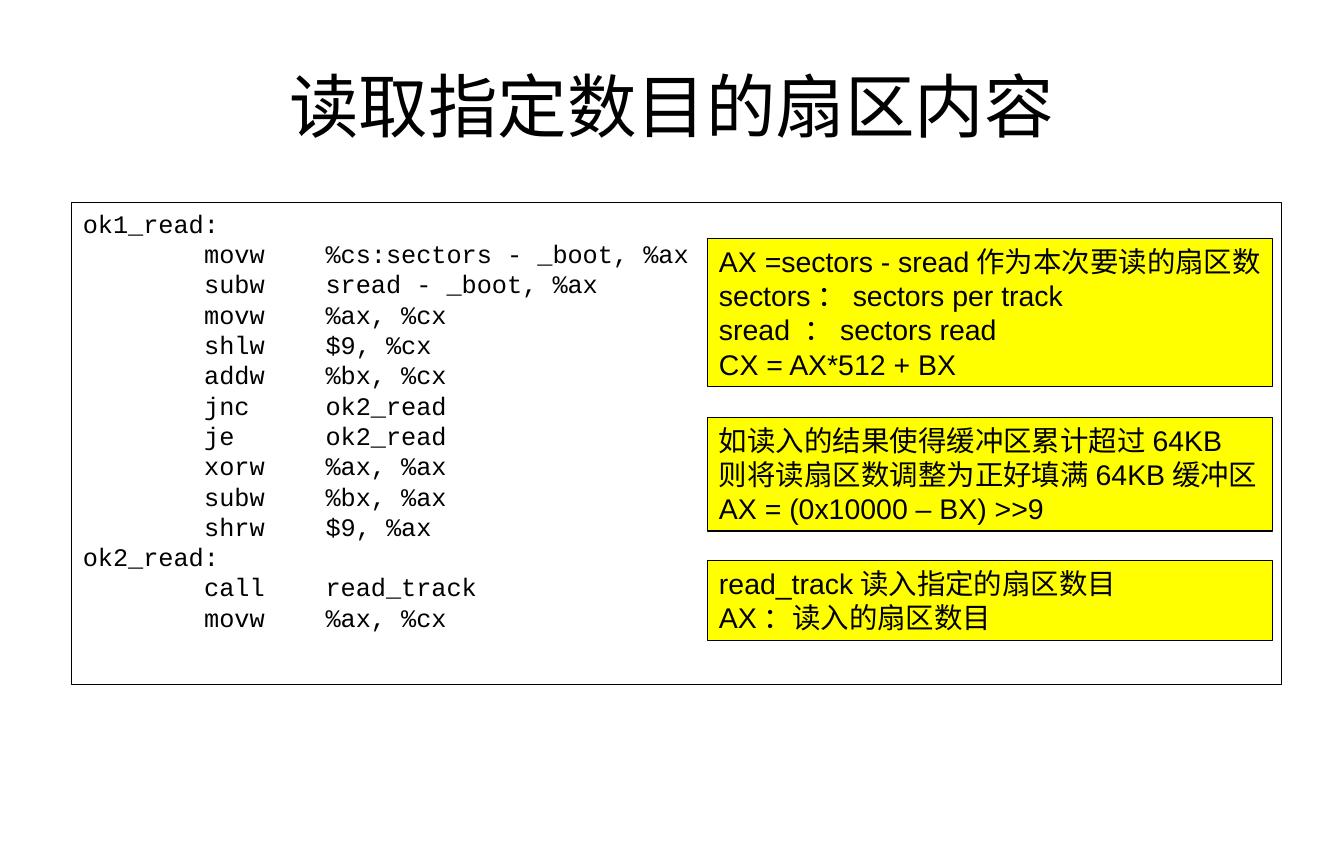
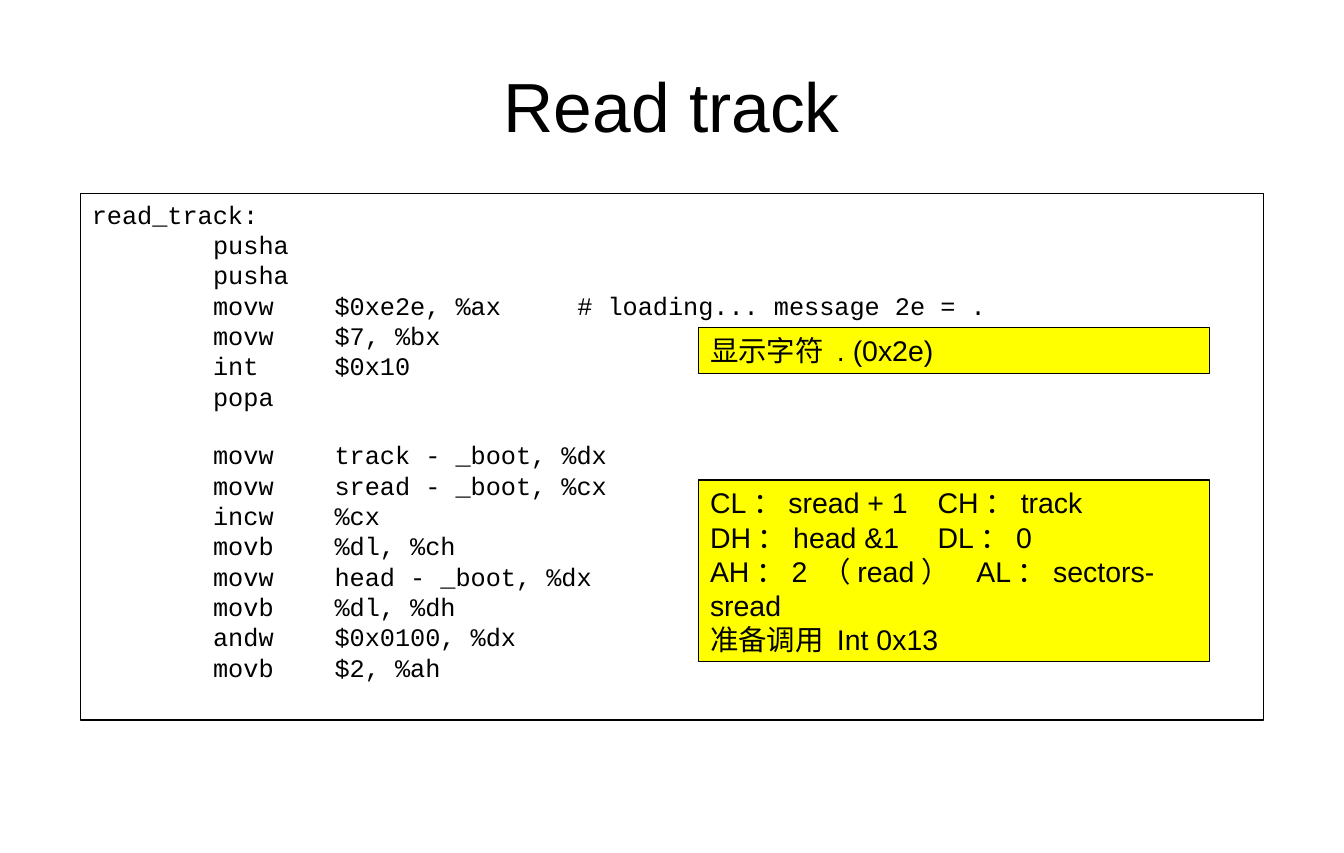
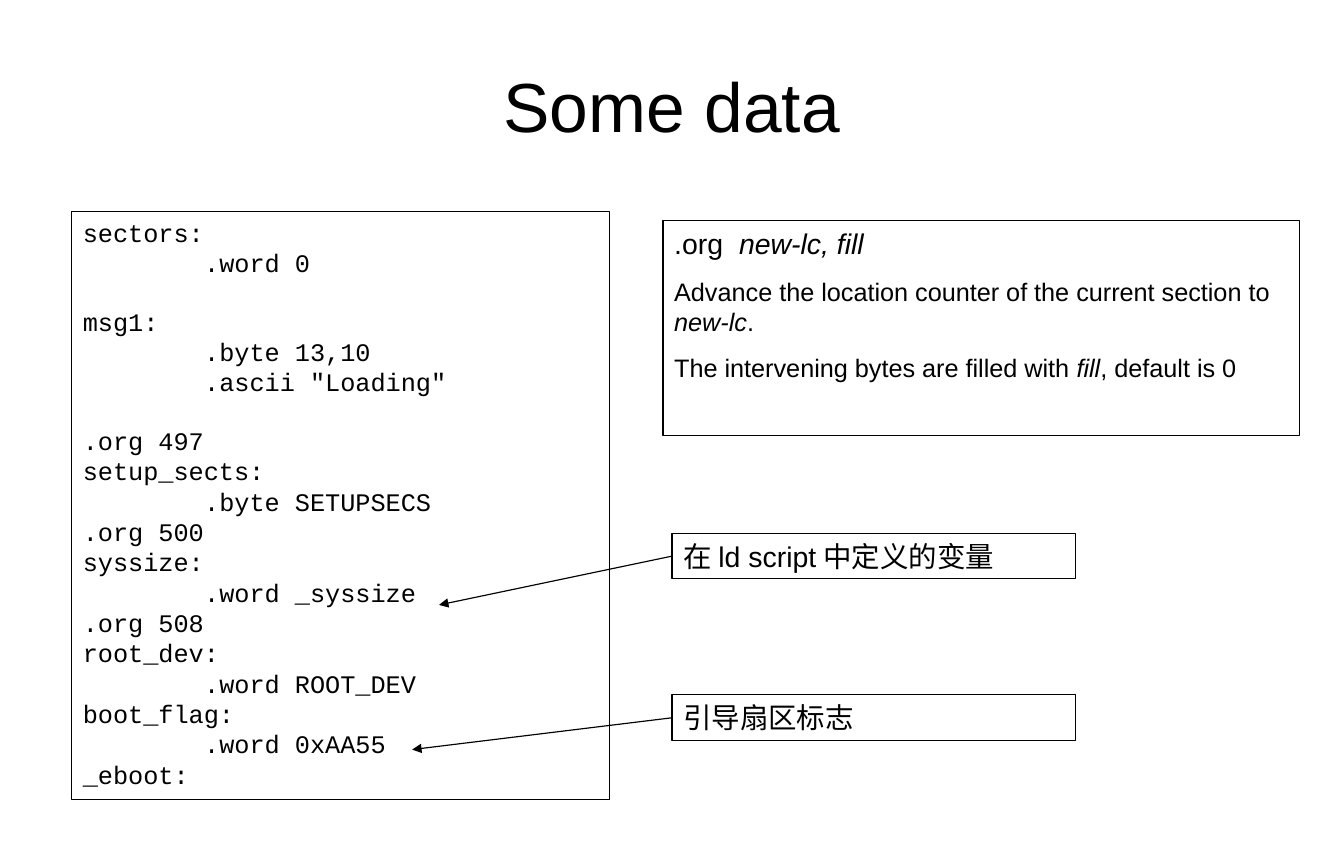
import dataclasses

import lxml.etree
import pptx
import pptx.dml.color
import pptx.enum.shapes
import pptx.enum.text
import pptx.oxml.ns
import pptx.util

BLACK = pptx.dml.color.RGBColor(0x00, 0x00, 0x00)
YELLOW = pptx.dml.color.RGBColor(0xFF, 0xFF, 0x00)
BODY_FONT = "Arial"
CODE_FONT = "Courier New"
CODE_SIZE = 16
NOTE_SIZE = 18
TITLE_SIZE = 44
LINE_WIDTH = pptx.util.Pt(0.75)
CODE_LINE = 18
CODE_TABS = [8 * 0.6 * CODE_SIZE * stop for stop in range(1, 5)]
NOTE_TABS = [144, 168.5]
CELL = pptx.util.Mm(1)
SLIDE_COLUMNS, SLIDE_ROWS = 300, 190.5
TITLE_LAYOUT = 5

READ_CODE = """ok1_read:
\tmovw\t%cs:sectors - _boot, %ax
\tsubw\tsread - _boot, %ax
\tmovw\t%ax, %cx
\tshlw\t$9, %cx
\taddw\t%bx, %cx
\tjnc\tok2_read
\tje\tok2_read
\txorw\t%ax, %ax
\tsubw\t%bx, %ax
\tshrw\t$9, %ax
ok2_read:
\tcall\tread_track
\tmovw\t%ax, %cx"""

READ_NOTES = [
    (0, 33, ["AX =sectors - sread作为本次要读的扇区数", "sectors：sectors per track",
             "sread ：sectors read", "CX = AX*512 + BX"]),
    (39.9, 25.4, ["如读入的结果使得缓冲区累计超过64KB",
                  "则将读扇区数调整为正好填满64KB缓冲区",
                  "AX = (0x10000 – BX) >>9"]),
    (71.9, 17.8, ["read_track读入指定的扇区数目", "AX：读入的扇区数目"]),
]

TRACK_CODE = """read_track:
\tpusha
\tpusha
\tmovw\t$0xe2e, %ax\t# loading... message 2e = .
\tmovw\t$7, %bx
\tint\t$0x10
\tpopa

\tmovw\ttrack - _boot, %dx
\tmovw\tsread - _boot, %cx
\tincw\t%cx
\tmovb\t%dl, %ch
\tmovw\thead - _boot, %dx
\tmovb\t%dl, %dh
\tandw\t$0x0100, %dx
\tmovb\t$2, %ah"""

TRACK_NOTES = [
    (0, 10.2, ["显示字符 . (0x2e)"]),
    (34, 40.6, ["CL：sread + 1\tCH：track", "DH：head &1\tDL：0",
                "AH：2 （read）\tAL：sectors-sread", "准备调用 Int 0x13"]),
]

DATA_CODE = """sectors:
\t.word 0

msg1:
\t.byte 13,10
\t.ascii "Loading"

.org 497
setup_sects:
\t.byte SETUPSECS
.org 500
syssize:
\t.word _syssize
.org 508
root_dev:
\t.word ROOT_DEV
boot_flag:
\t.word 0xAA55
_eboot:"""


@dataclasses.dataclass
class Box:
    """An area of the slide, in grid columns and rows."""
    left: float
    top: float
    width: float
    height: float

    def lengths(self):
        """Return left, top, width and height as slide lengths."""
        return [int(CELL * cells) for cells in dataclasses.astuple(self)]


def add_tab_stops(paragraph, stops):
    """Give a paragraph left tab stops, in points."""
    properties = paragraph._p.get_or_add_pPr()
    tab_list = lxml.etree.SubElement(properties, pptx.oxml.ns.qn("a:tabLst"))
    for stop in stops:
        lxml.etree.SubElement(tab_list, pptx.oxml.ns.qn("a:tab"),
                              pos=str(pptx.util.Pt(stop)), algn="l")


def write_text(frame, *parts, size=NOTE_SIZE, font=BODY_FONT, space_before=0,
               align=pptx.enum.text.PP_ALIGN.LEFT, tabs=()):
    """Write one paragraph whose parts are upright and italic in turn."""
    paragraph = frame.paragraphs[0]
    if paragraph.runs:
        paragraph = frame.add_paragraph()
    paragraph.alignment = align
    paragraph.space_before = pptx.util.Pt(space_before)
    if tabs:
        add_tab_stops(paragraph, tabs)
    for index, part in enumerate(parts):
        run = paragraph.add_run()
        run.text = part
        run.font.name = font
        run.font.size = pptx.util.Pt(size)
        run.font.italic = index % 2 == 1
        run.font.color.rgb = BLACK


def add_frame(slide, box, fill=None):
    """Add an outlined rectangle ready for text from its top left."""
    shape = slide.shapes.add_shape(pptx.enum.shapes.MSO_SHAPE.RECTANGLE, *box.lengths())
    shape.shadow.inherit = False
    shape.line.color.rgb = BLACK
    shape.line.width = LINE_WIDTH
    if fill is None:
        shape.fill.background()
    else:
        shape.fill.solid()
        shape.fill.fore_color.rgb = fill
    shape.text_frame.word_wrap = True
    shape.text_frame.vertical_anchor = pptx.enum.text.MSO_ANCHOR.TOP
    return shape


def add_code(slide, box, code):
    """Add a listing in which an empty line becomes space before the next."""
    frame = add_frame(slide, box).text_frame
    gap = 0
    for line in code.splitlines():
        if line:
            write_text(frame, line, size=CODE_SIZE, font=CODE_FONT,
                       space_before=gap, tabs=CODE_TABS)
        gap = 0 if line else CODE_LINE


def add_notes(slide, box, notes):
    """Add yellow notes, each at its row offset and height within the box."""
    for offset, height, lines in notes:
        note_box = Box(box.left, box.top + offset, box.width, height)
        frame = add_frame(slide, note_box, fill=YELLOW).text_frame
        for line in lines:
            write_text(frame, line, tabs=NOTE_TABS if "\t" in line else ())


def add_directive(slide, box):
    """Add the description of the .org directive."""
    frame = add_frame(slide, box).text_frame
    write_text(frame, ".org  ", "new-lc, fill")
    write_text(frame, "Advance the location counter of the current section to ",
               "new-lc", ".", size=CODE_SIZE, space_before=10)
    write_text(frame, "The intervening bytes are filled with ", "fill",
               ", default is 0", size=CODE_SIZE, space_before=10)


def add_callout(slide, box, text, reach, drop):
    """Add a label with an arrow to a point left of and below its top left corner."""
    label = add_frame(slide, box)
    write_text(label.text_frame, text)
    left, top = label.left, label.top
    arrow = slide.shapes.add_connector(
        pptx.enum.shapes.MSO_CONNECTOR.STRAIGHT, left, top,
        int(left - CELL * reach), int(top + CELL * drop))
    arrow.begin_connect(label, 1)
    arrow.line.color.rgb = BLACK
    arrow.line.width = LINE_WIDTH
    lxml.etree.SubElement(arrow.line._get_or_add_ln(),
                          pptx.oxml.ns.qn("a:tailEnd"), type="triangle")
    lxml.etree.SubElement(arrow._element.spPr, pptx.oxml.ns.qn("a:effectLst"))


def set_up_layout(presentation):
    """Set the slide size and the place of every title."""
    presentation.slide_width = int(CELL * SLIDE_COLUMNS)
    presentation.slide_height = int(CELL * SLIDE_ROWS)
    title = presentation.slide_layouts[TITLE_LAYOUT].placeholders[0]
    title.left, title.top, title.width, title.height = Box(15, 7.6, 270, 31.75).lengths()


def add_titled_slide(presentation, title):
    """Add a slide with a centred title."""
    slide = presentation.slides.add_slide(presentation.slide_layouts[TITLE_LAYOUT])
    write_text(slide.shapes.title.text_frame, title, size=TITLE_SIZE,
               align=pptx.enum.text.PP_ALIGN.CENTER)
    return slide


def add_annotated_slide(presentation, title, code_box, code, notes_box, notes):
    """Add a slide with a wide listing and yellow notes over its right half."""
    slide = add_titled_slide(presentation, title)
    add_code(slide, code_box, code)
    add_notes(slide, notes_box, notes)


def add_data_slide(presentation):
    """Add the slide on the data at the end of the boot sector."""
    slide = add_titled_slide(presentation, "Some data")
    add_code(slide, Box(16, 47.2, 120, 131.3), DATA_CODE)
    add_directive(slide, Box(148, 49.3, 142, 48))
    add_callout(slide, Box(150, 119.1, 90, 10.2), "在ld script中定义的变量",
                reach=52, drop=16)
    add_callout(slide, Box(150, 155.2, 90, 10.2), "引导扇区标志",
                reach=58, drop=12.2)


def main():
    """Build and save the presentation."""
    presentation = pptx.Presentation()
    set_up_layout(presentation)
    add_annotated_slide(presentation, "读取指定数目的扇区内容",
                        Box(16, 45.2, 270, 107.7), READ_CODE,
                        Box(158, 53.3, 126, 89.7), READ_NOTES)
    add_annotated_slide(presentation, "Read track",
                        Box(18, 43.2, 264, 117.6), TRACK_CODE,
                        Box(156, 73.2, 114, 74.6), TRACK_NOTES)
    add_data_slide(presentation)
    presentation.save("out.pptx")


if __name__ == "__main__":
    main()
